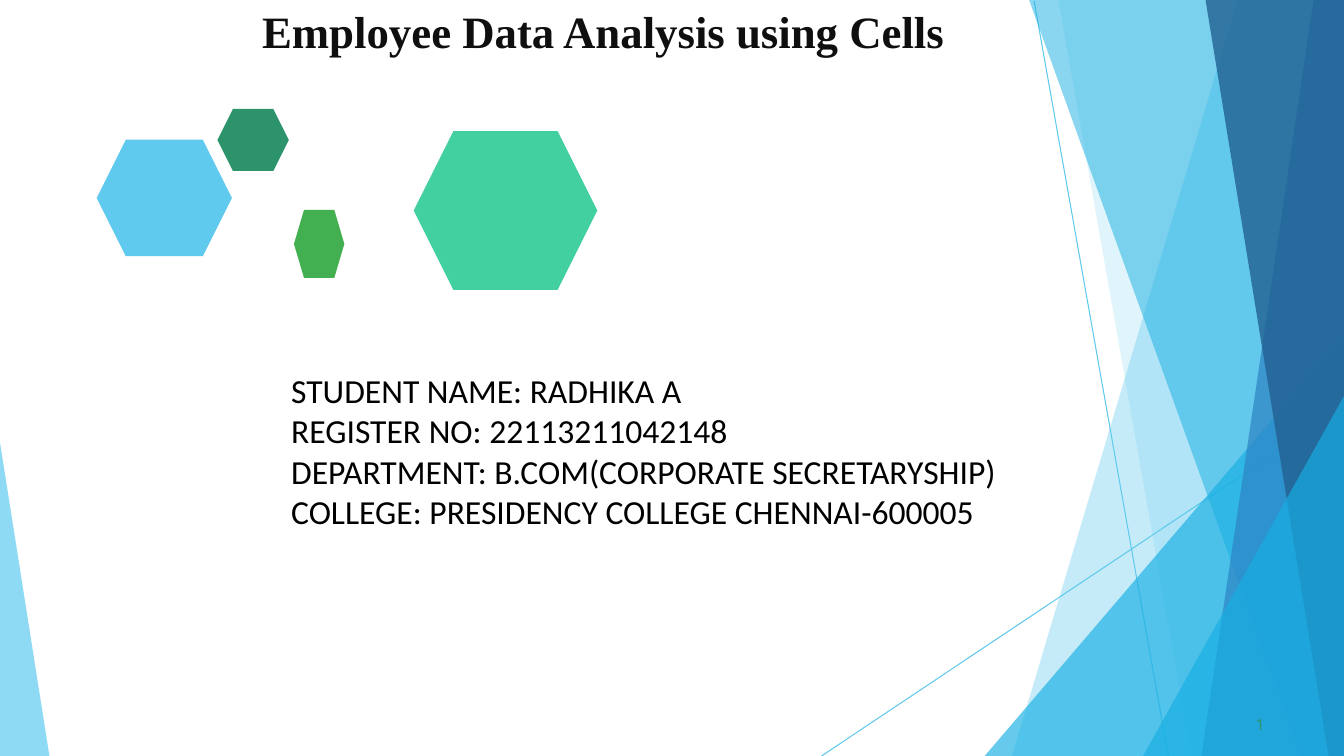
from lxml.etree import SubElement
from pptx import Presentation
from pptx.dml.color import RGBColor
from pptx.enum.shapes import MSO_CONNECTOR, MSO_SHAPE
from pptx.enum.text import MSO_ANCHOR, MSO_AUTO_SIZE, PP_ALIGN
from pptx.oxml.ns import qn
from pptx.util import Pt

W, H = 960, 540

THEME = {
    "sky": "5FCAEE", "cyan": "17AFE3", "blue": "2D83C3", "navy": "226192",
    "pine": "2D936B", "mint": "42D0A1", "leaf": "42AF51",
    "title": {"name": "Times New Roman", "size": Pt(32), "bold": True, "color": "0F0F0F"},
    "body": {"name": "Calibri", "size": Pt(24), "bold": False, "color": "000000"},
    "number": {"name": "Roboto", "size": Pt(11), "bold": False, "color": "2D936B"},
}

TITLE = "Employee Data Analysis using Cells"
DETAILS = [
    "STUDENT NAME: RADHIKA A",
    "REGISTER NO: 22113211042148",
    "DEPARTMENT: B.COM(CORPORATE SECRETARYSHIP)",
    "COLLEGE: PRESIDENCY COLLEGE CHENNAI-600005",
]
PAGE = "1"

# Start and end of each thin line
LINES = [((738.7, 0.7), (834.5, H)), ((W, 290.9), (586.8, H))]

# Corners, colour, opacity in percent
FACETS = [
    ([(W, 0), (884.2, 0), (722.9, H), (W, H)], "sky", 36),
    ([(W, 0), (756, 0), (851, H), (W, H)], "sky", 20),
    ([(W, 239.8), (703.4, H), (W, H)], "cyan", 66),
    ([(W, 0), (735.1, 0), (929.5, H), (W, H)], "cyan", 50),
    ([(W, 0), (938.2, 0), (858.2, H), (W, H)], "blue", 70),
    ([(W, 0), (861.1, 0), (949, H), (W, H)], "navy", 80),
    ([(W, 283), (816.5, H), (W, H)], "cyan", 66),
    ([(0, 316.1), (0, H), (35.3, H)], "sky", 70),
]

# Left, top, width, height, corner inset, colour
HEXAGONS = [
    (69.1, 99.8, 96.6, 83.2, 0.25, "sky"),
    (155.3, 77.8, 51, 44.3, 0.25, "pine"),
    (295.5, 93.6, 131.2, 113.5, 0.25, "mint"),
    (210, 149.9, 36, 48.7, 0.2, "leaf"),
]


def rgb(name):
    return RGBColor.from_string(THEME.get(name, name))


def paint(sp, color, opacity=100):
    sp.shadow.inherit = False
    sp.line.fill.background()
    sp.fill.solid()
    sp.fill.fore_color.rgb = rgb(color)
    if opacity < 100:
        clr = sp.fill._xPr.find(".//" + qn("a:srgbClr"))
        SubElement(clr, qn("a:alpha")).set("val", str(opacity * 1000))


def add_line(shapes, start, end):
    cx = shapes.add_connector(MSO_CONNECTOR.STRAIGHT, *map(Pt, start + end))
    cx.line.color.rgb = rgb("sky")
    cx.line.width = Pt(0.75)
    SubElement(cx._element.spPr, qn("a:effectLst"))


def add_facet(shapes, corners, color, opacity):
    points = [(Pt(x), Pt(y)) for x, y in corners]
    builder = shapes.build_freeform(*points[0])
    builder.add_line_segments(points[1:], close=True)
    paint(builder.convert_to_shape(), color, opacity)


def add_hexagon(shapes, left, top, width, height, inset, color):
    sp = shapes.add_shape(MSO_SHAPE.HEXAGON, *map(Pt, (left, top, width, height)))
    sp.adjustments[0] = inset
    paint(sp, color)


def write(sp, box, lines, style, margins, space_before=0):
    """Place a text shape and fill it; margins run left, top, right, bottom."""
    sp.left, sp.top, sp.width, sp.height = map(Pt, box)
    tf = sp.text_frame
    frame = {"word_wrap": True, "auto_size": MSO_AUTO_SIZE.NONE,
             "vertical_anchor": MSO_ANCHOR.TOP}
    for side, margin in zip(("left", "top", "right", "bottom"), margins):
        frame["margin_" + side] = Pt(margin)
    for key, value in frame.items():
        setattr(tf, key, value)
    tf.text = "\n".join(lines)
    for p in tf.paragraphs:
        p.alignment = PP_ALIGN.LEFT
        p.space_before = Pt(space_before)
        font = p.runs[0].font
        for key, value in THEME[style].items():
            if key == "color":
                font.color.rgb = rgb(value)
            else:
                setattr(font, key, value)


def main():
    prs = Presentation()
    prs.slide_width, prs.slide_height = Pt(W), Pt(H)
    s = prs.slides.add_slide(prs.slide_layouts[5])
    shapes = s.shapes
    for line in LINES:
        add_line(shapes, *line)
    for facet in FACETS:
        add_facet(shapes, *facet)
    for hexagon in HEXAGONS:
        add_hexagon(shapes, *hexagon)

    write(shapes.title, (187.2, 1.4, 533.5, 82), [TITLE], "title", (0, 1.4, 0, 0), 1.3)
    number = shapes.add_textbox(0, 0, 0, 0)
    write(number, (894.2, 509.8, 12.2, 15), [PAGE], "number", (2.9, 0.7, 0, 0), 0.6)
    details = shapes.add_textbox(0, 0, 0, 0)
    write(details, (200.9, 260.6, 678.2, 152.6), DETAILS, "body", (7.2, 3.6, 7.2, 3.6))
    prs.save("out.pptx")


if __name__ == "__main__":
    main()
